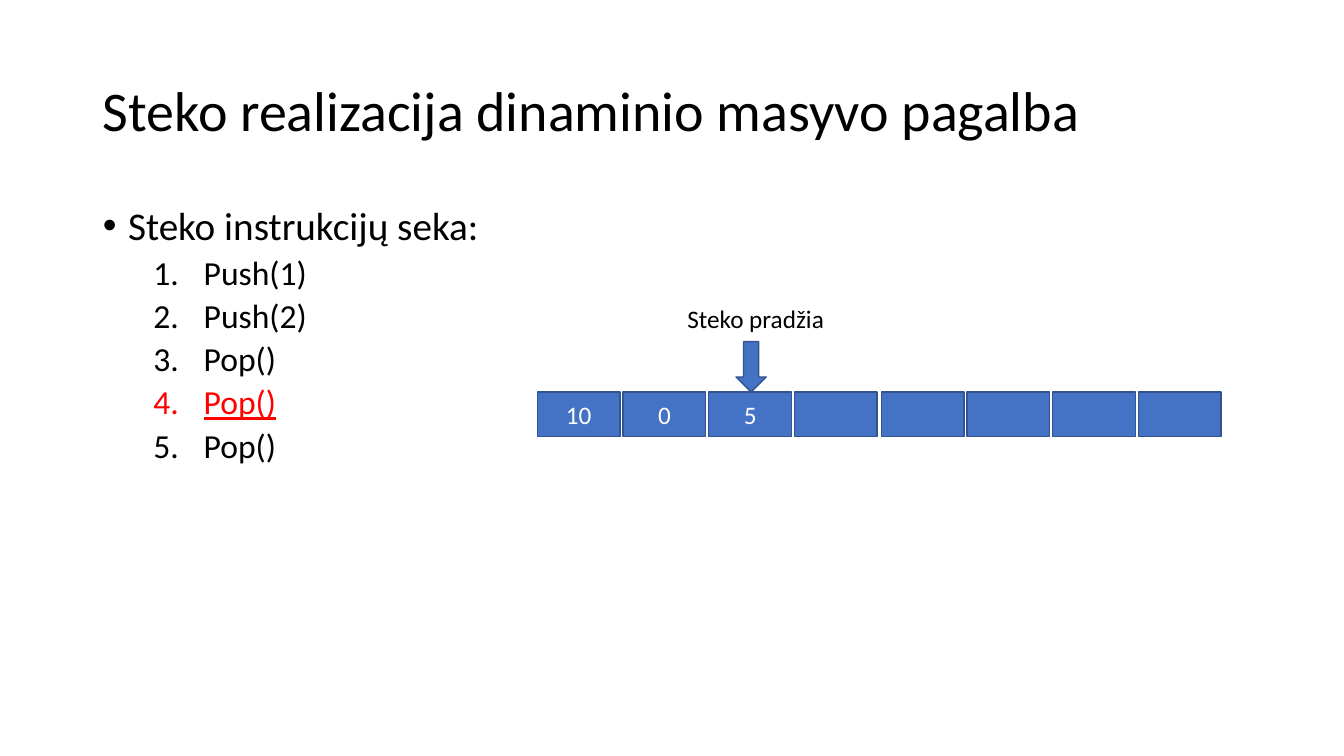
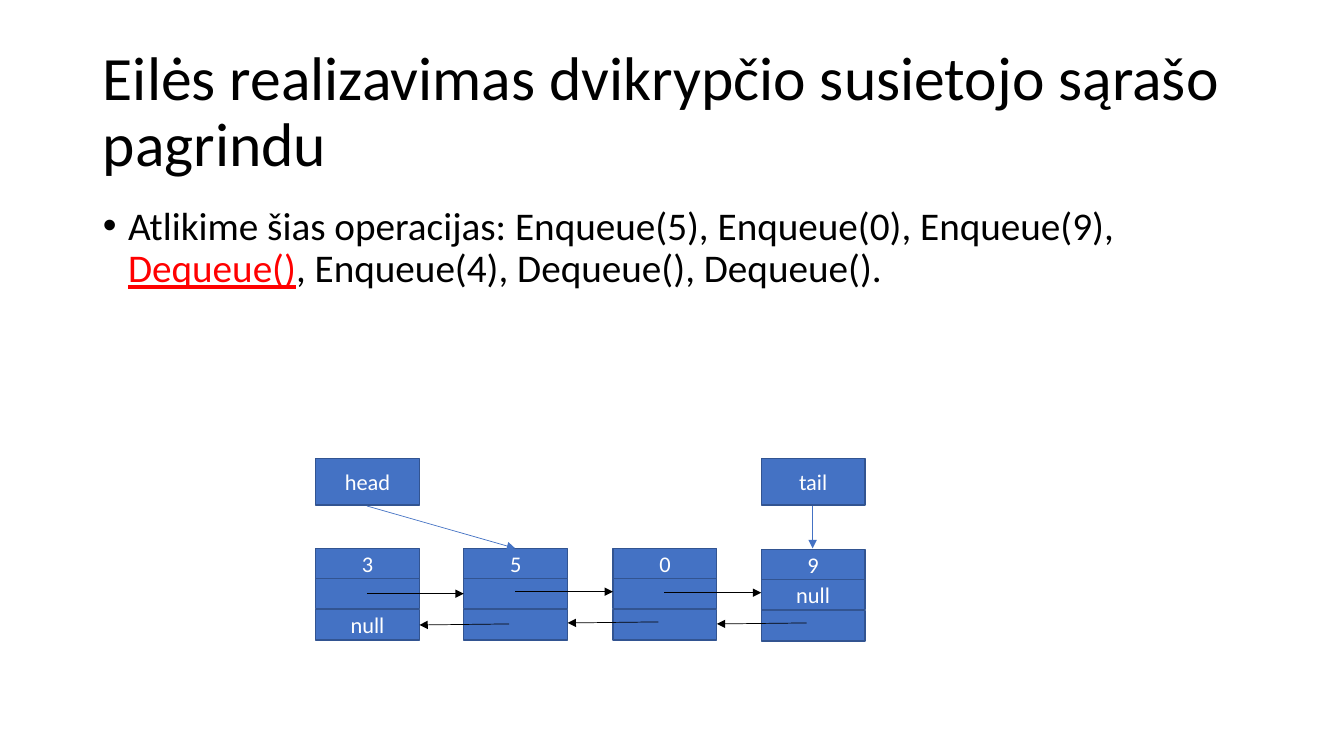
from dataclasses import dataclass
from typing import Optional

from lxml import etree
from pptx import Presentation
from pptx import util as u
from pptx.dml.color import RGBColor
from pptx.enum import shapes, text
from pptx.oxml import ns

# Shared style
FONT = "Calibri"
BLACK, WHITE, RED = "000000", "FFFFFF", "FF0000"
BLUE, NAVY = "4472C4", "325491"
TITLE_BOX = (92, 40, 1150, 145)


@dataclass
class Run:
    text: str
    marked: bool = False


@dataclass
class Item:
    runs: list[Run]
    numbered: bool = False


@dataclass
class Node:
    left: int
    top: int
    cells: tuple[str, str, str]


@dataclass
class Arrow:
    start: tuple[int, int]
    end: tuple[int, int]
    color: str


def px(n: int) -> u.Emu:
    """One px is a hundredth of an inch."""
    return u.Emu(n * 9144)


def rgb(value: str) -> RGBColor:
    return RGBColor.from_string(value)


def place(sp, box: tuple[int, int, int, int]) -> None:
    sp.left, sp.top, sp.width, sp.height = map(px, box)


def add_run(p, content: str, size: int, color: str, underline: Optional[bool] = None) -> None:
    r = p.add_run()
    r.text = content
    r.font.name, r.font.size = FONT, u.Pt(size)
    r.font.color.rgb = rgb(color)
    r.font.underline = underline


def set_bullet(p, margin: int, hanging: int, numbered: bool) -> None:
    ppr = p._p.get_or_add_pPr()
    ppr.set("marL", str(px(margin)))
    ppr.set("indent", str(px(-hanging)))
    if numbered:
        etree.SubElement(ppr, ns.qn("a:buFont"), typeface="+mj-lt")
        etree.SubElement(ppr, ns.qn("a:buAutoNum"), type="arabicPeriod")
    else:
        etree.SubElement(ppr, ns.qn("a:buFont"), typeface="Arial")
        etree.SubElement(ppr, ns.qn("a:buChar"), char="•")


def add_slide(prs, title: str, title_size: int, body_box: tuple[int, int, int, int],
              items: list[Item]):
    """Add a slide with its title and list."""
    s = prs.slides.add_slide(prs.slide_layouts[1])
    sp = s.shapes.title
    place(sp, TITLE_BOX)
    tf = sp.text_frame
    tf.word_wrap, tf.auto_size = True, text.MSO_AUTO_SIZE.NONE
    tf.vertical_anchor = text.MSO_ANCHOR.MIDDLE
    p = tf.paragraphs[0]
    p.alignment, p.line_spacing = text.PP_ALIGN.LEFT, 0.9
    add_run(p, title, title_size, BLACK)

    sp = s.placeholders[1]
    place(sp, body_box)
    tf = sp.text_frame
    tf.word_wrap, tf.auto_size = True, text.MSO_AUTO_SIZE.NONE
    for i, item in enumerate(items):
        p = tf.add_paragraph() if i else tf.paragraphs[0]
        p.level = int(item.numbered)
        margin, hanging, size = (100, 50, 24) if item.numbered else (25, 25, 28)
        set_bullet(p, margin, hanging, item.numbered)
        p.line_spacing, p.space_before = 0.9, u.Pt(5 if i else 0)
        for run in item.runs:
            add_run(p, run.text, size, RED if run.marked else BLACK, run.marked or None)
    return s


def add_block(s, box: tuple[int, int, int, int], label: str = "", size: int = 16,
              kind=shapes.MSO_SHAPE.RECTANGLE) -> None:
    sp = s.shapes.add_shape(kind, *map(px, box))
    sp.shadow.inherit = False
    sp.fill.solid()
    sp.fill.fore_color.rgb = rgb(BLUE)
    sp.line.color.rgb = rgb(NAVY)
    sp.line.width = u.Pt(1)
    if label:
        tf = sp.text_frame
        tf.vertical_anchor = text.MSO_ANCHOR.MIDDLE
        p = tf.paragraphs[0]
        p.alignment = text.PP_ALIGN.CENTER
        add_run(p, label, size, WHITE)


def add_arrow(s, arrow: Arrow) -> None:
    line = s.shapes.add_connector(shapes.MSO_CONNECTOR.STRAIGHT,
                                  *map(px, arrow.start + arrow.end))
    line.line.color.rgb = rgb(arrow.color)
    line.line.width = u.Pt(0.5)
    etree.SubElement(line.line._get_or_add_ln(), ns.qn("a:tailEnd"), type="triangle")
    etree.SubElement(line._element.spPr, ns.qn("a:effectLst"))


def build_stack(prs) -> None:
    calls = ["Push(1)", "Push(2)", "Pop()", "Pop()", "Pop()"]
    items = [Item([Run("Steko instrukcijų seka:")])]
    items += [Item([Run(call, i == 3)], numbered=True) for i, call in enumerate(calls)]
    s = add_slide(prs, "Steko realizacija dinaminio masyvo pagalba", 40,
                  (92, 200, 396, 394), items)

    # Array cells, evenly spread
    for i, value in enumerate(["10", "0", "5"] + [""] * 5):
        add_block(s, (round(533 + i * 596 / 7), 389, 82, 44), value, 18)

    # Top-of-stack marker
    add_block(s, (730, 339, 30, 50), kind=shapes.MSO_SHAPE.DOWN_ARROW)
    tf = s.shapes.add_textbox(*map(px, (672, 296, 157, 40))).text_frame
    tf.word_wrap, tf.auto_size = False, text.MSO_AUTO_SIZE.SHAPE_TO_FIT_TEXT
    add_run(tf.paragraphs[0], "Steko pradžia", 18, BLACK)


def build_queue(prs) -> None:
    runs = [Run("Atlikime šias operacijas: Enqueue(5), Enqueue(0), Enqueue(9), "),
            Run("Dequeue()", True), Run(", Enqueue(4), Dequeue(), Dequeue().")]
    s = add_slide(prs, "Eilės realizavimas dvikrypčio susietojo sąrašo pagrindu", 44,
                  (92, 200, 1092, 260), [Item(runs)])

    # Nodes: value, next, previous
    width, half = 103, 51
    contents = [("3", "", "null"), ("5", "", ""), ("0", "", ""), ("9", "null", "")]
    nodes = [Node(round(313 + i * 442 / 3), 545 if i == 3 else 544, cells)
             for i, cells in enumerate(contents)]
    for node in nodes:
        for offset, label in zip((0, 30, 61), node.cells):
            add_block(s, (node.left, node.top + offset, width, 30), label)

    # Head and tail pointers
    arrows = []
    for label, holder, target in (("head", nodes[0], nodes[1]), ("tail", nodes[3], nodes[3])):
        add_block(s, (holder.left, 455, width, 46), label)
        arrows.append(Arrow((holder.left + half, 502), (target.left + half, 544), BLUE))

    # Links both ways between neighbours
    for left, right, y in zip(nodes, nodes[1:], (589, 587, 588)):
        arrows.append(Arrow((left.left + half, y), (right.left, y), BLACK))
        arrows.append(Arrow((right.left + 45, y + 30), (left.left + width, y + 31), BLACK))
    for arrow in arrows:
        add_arrow(s, arrow)


def main() -> None:
    prs = Presentation()
    prs.slide_width, prs.slide_height = px(1333), px(750)
    build_stack(prs)
    build_queue(prs)
    prs.save("out.pptx")


if __name__ == "__main__":
    main()
